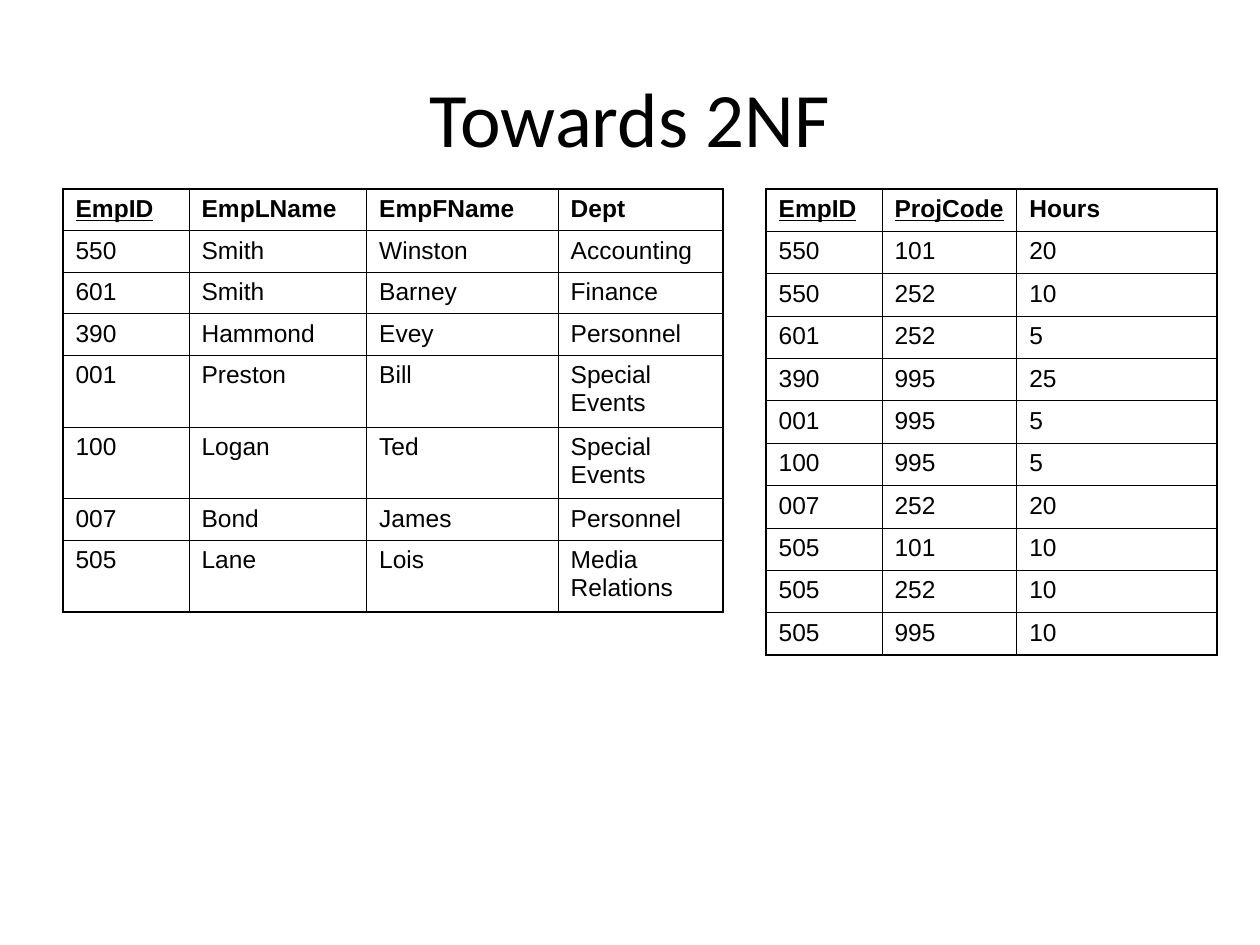
import pptx
import pptx.dml.color
import pptx.enum.text
import pptx.oxml
import pptx.oxml.ns
import pptx.util

Inches = pptx.util.Inches
Pt = pptx.util.Pt

COLORS = {"text": "000000", "border": "000000"}
TITLE_FONT = {"name": "Calibri", "size": Pt(44)}
CELL_FONT = {"name": "Arial", "size": Pt(14)}
CELL_MARGINS = {
    "margin_left": Inches(0.1), "margin_right": Inches(0.1),
    "margin_top": Inches(0.05), "margin_bottom": Inches(0.05),
}
OUTER_LINE, INNER_LINE = Pt(1.08), Pt(0.45)

EMPLOYEES = [
    ("EmpID", "EmpLName", "EmpFName", "Dept"),
    ("550", "Smith", "Winston", "Accounting"),
    ("601", "Smith", "Barney", "Finance"),
    ("390", "Hammond", "Evey", "Personnel"),
    ("001", "Preston", "Bill", "Special Events"),
    ("100", "Logan", "Ted", "Special Events"),
    ("007", "Bond", "James", "Personnel"),
    ("505", "Lane", "Lois", "Media Relations"),
]
PROJECT_HOURS = [
    ("EmpID", "ProjCode", "Hours"),
    ("550", "101", "20"),
    ("550", "252", "10"),
    ("601", "252", "5"),
    ("390", "995", "25"),
    ("001", "995", "5"),
    ("100", "995", "5"),
    ("007", "252", "20"),
    ("505", "101", "10"),
    ("505", "252", "10"),
    ("505", "995", "10"),
]


class SlideBuilder:
    def __init__(self, slide, colors):
        self.slide = slide
        self.colors = colors

    def set_values(self, target, values):
        for attribute, value in values.items():
            setattr(target, attribute, value)

    def format_font(self, font, values):
        self.set_values(font, values)
        font.color.rgb = pptx.dml.color.RGBColor.from_string(self.colors["text"])

    def title(self, text, left, top, width, height):
        heading = self.slide.shapes.title
        self.set_values(heading, {"left": left, "top": top, "width": width, "height": height})
        heading.text_frame.text = text
        heading.text_frame.vertical_anchor = pptx.enum.text.MSO_ANCHOR.MIDDLE
        line = heading.text_frame.paragraphs[0]
        line.alignment = pptx.enum.text.PP_ALIGN.CENTER
        self.format_font(line.font, TITLE_FONT)

    def borders(self, cell, outer_sides):
        properties = cell._tc.get_or_add_tcPr()
        for side in "LRTB":
            width = OUTER_LINE if side in outer_sides else INNER_LINE
            properties.append(pptx.oxml.parse_xml(
                f'<a:ln{side} {pptx.oxml.ns.nsdecls("a")} w="{width}"><a:solidFill>'
                f'<a:srgbClr val="{self.colors["border"]}"/></a:solidFill></a:ln{side}>'))

    def relation(self, records, keys, left, top, column_widths, height, row_heights=()):
        last_row, last_column = len(records) - 1, len(column_widths) - 1
        table = self.slide.shapes.add_table(
            len(records), len(column_widths), left, top, sum(column_widths), height).table
        self.set_values(table, {"first_row": False, "horz_banding": False})
        for column, width in zip(table.columns, column_widths):
            column.width = width
        for row, row_height in zip(table.rows, row_heights):
            row.height = row_height
        for r, record in enumerate(records):
            for c, value in enumerate(record):
                cell = table.cell(r, c)
                cell.text = value
                self.set_values(cell, CELL_MARGINS)
                is_header = r == 0
                self.format_font(cell.text_frame.paragraphs[0].runs[0].font, {
                    **CELL_FONT, "bold": is_header, "underline": is_header and value in keys})
                edges = {"L": c == 0, "R": c == last_column, "T": r == 0, "B": r == last_row}
                self.borders(cell, {side for side, is_outer in edges.items() if is_outer})
                cell.fill.background()


def main():
    presentation = pptx.Presentation()
    presentation.slide_width, presentation.slide_height = Inches(10), Inches(7.5)
    builder = SlideBuilder(
        presentation.slides.add_slide(presentation.slide_layouts[5]), COLORS)

    builder.title("Towards 2NF", Inches(0.5), Inches(0.3), Inches(9), Inches(1.25))

    employee_heights = [
        Inches(0.57 if " " in department else 0.33) for *_, department in EMPLOYEES]
    builder.relation(
        EMPLOYEES, {"EmpID"}, Inches(0.5), Inches(1.5),
        [Inches(width) for width in (1, 1.41, 1.52, 1.31)],
        sum(employee_heights), employee_heights)
    builder.relation(
        PROJECT_HOURS, {"EmpID", "ProjCode"}, Inches(6.08), Inches(1.5),
        [Inches(width) for width in (0.92, 1.07, 1.59)], Inches(3.7))

    presentation.save("out.pptx")


if __name__ == "__main__":
    main()
